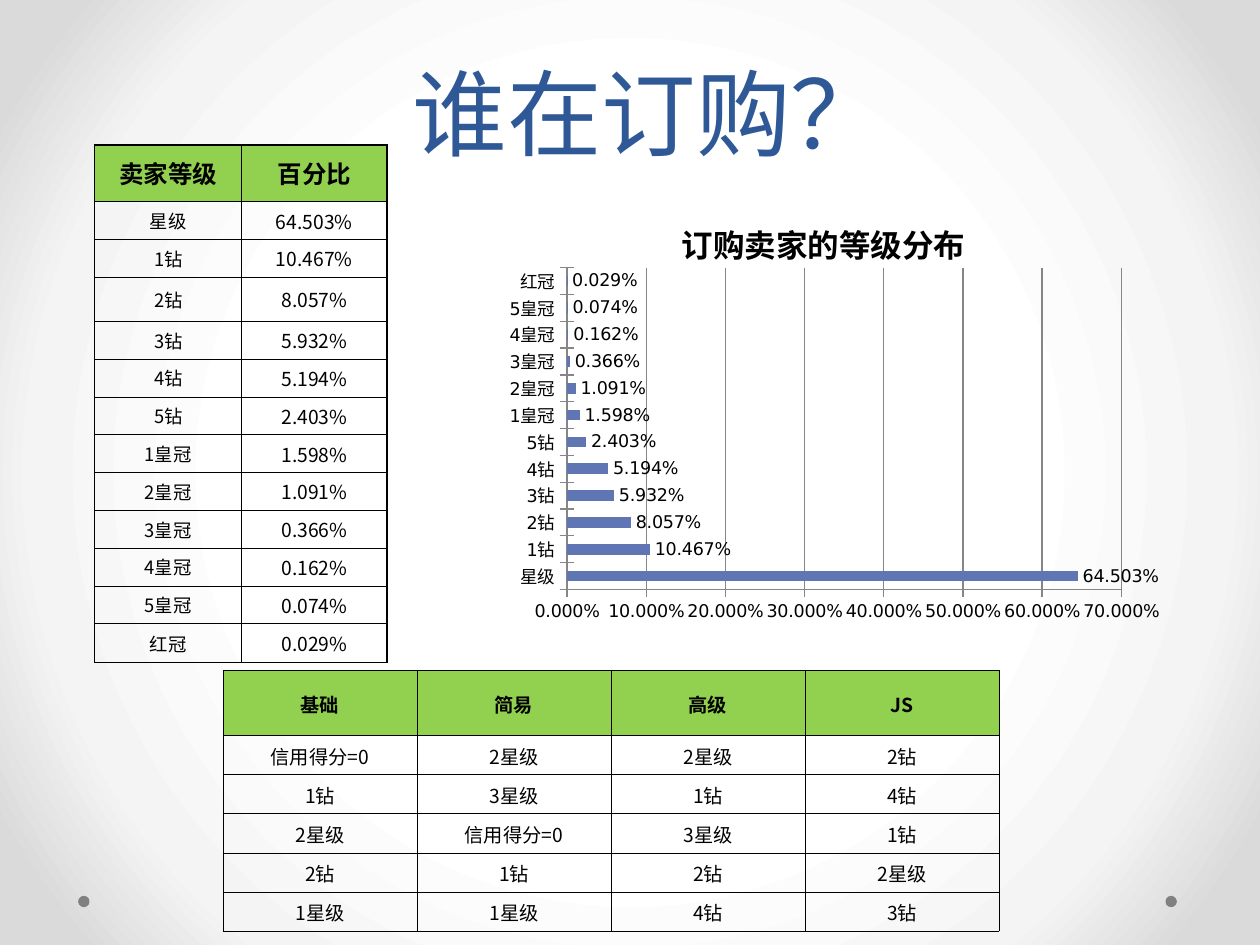
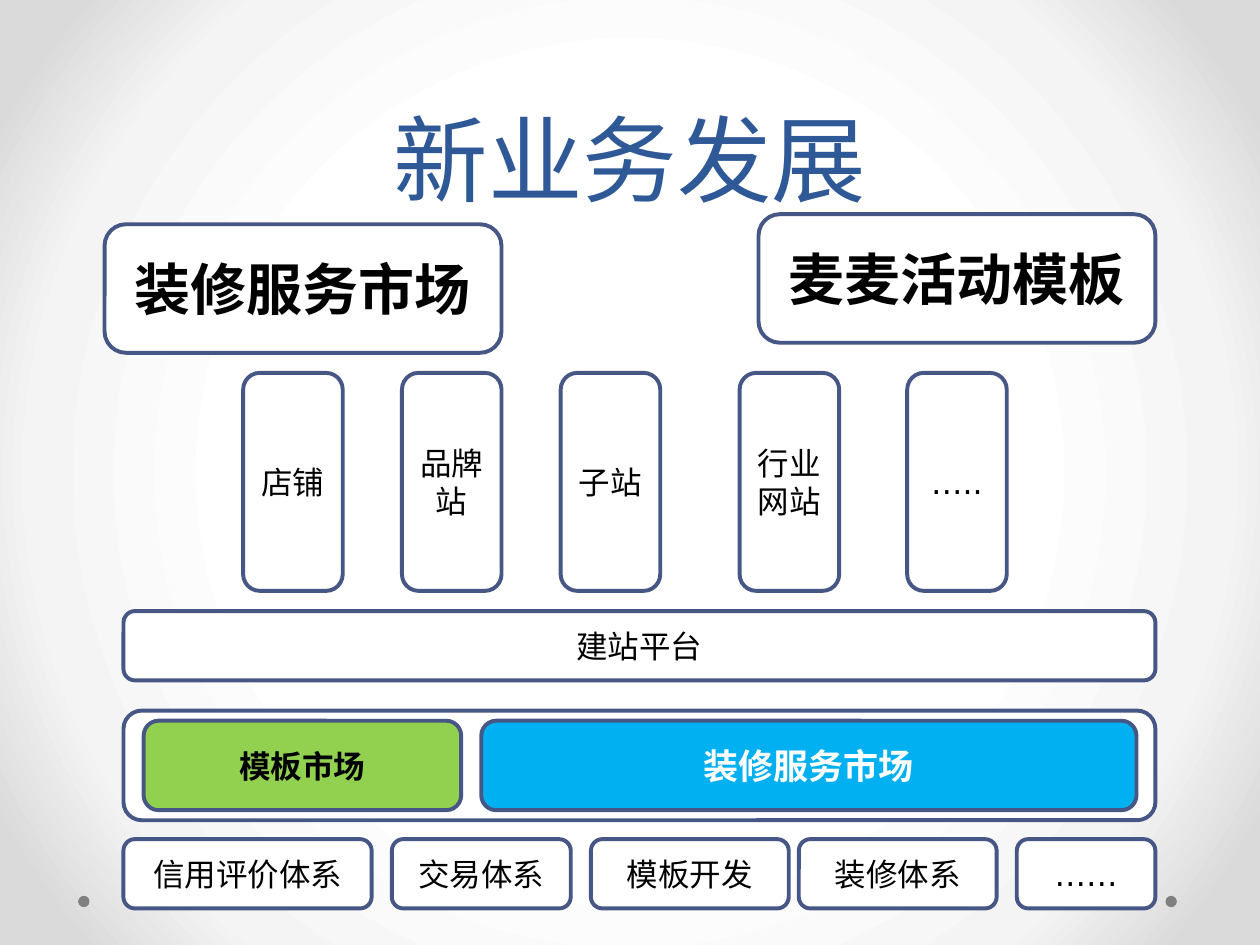
from lxml import etree
from pptx import Presentation
from pptx.chart.data import CategoryChartData
from pptx.dml.color import RGBColor
from pptx.enum.chart import XL_CHART_TYPE as ChartType, XL_LABEL_POSITION as LabelPosition
from pptx.enum.chart import XL_TICK_MARK as TickMark
from pptx.enum.shapes import MSO_SHAPE as Shape
from pptx.enum.text import MSO_ANCHOR as Anchor, MSO_AUTO_SIZE as AutoSize, PP_ALIGN as Align
from pptx.oxml import parse_xml
from pptx.oxml.ns import nsdecls, qn
from pptx.util import Inches, Pt

TITLE_BLUE = RGBColor(0x2F, 0x58, 0x97)
OUTLINE = RGBColor(0x47, 0x57, 0x85)
BAR_BLUE = RGBColor(0x60, 0x76, 0xB4)
GREEN = RGBColor(0x92, 0xD0, 0x50)
SKY = RGBColor(0x00, 0xB0, 0xF0)
GREY = RGBColor(0x80, 0x80, 0x80)
AXIS_GREY = RGBColor(0x86, 0x86, 0x86)
BLACK = RGBColor(0, 0, 0)
WHITE = RGBColor(0xFF, 0xFF, 0xFF)
BACKGROUND_STOPS = ((50, WHITE), (76, RGBColor(0xF4, 0xF4, 0xF4)), (92, RGBColor(0xDA, 0xDA, 0xDA)))

LATIN_FONT = "DejaVu Sans"
CHINESE_FONT = "Noto Sans CJK SC"
PERCENT = "0.000%"

LEVEL_SHARES = {
    "星级": 0.64503, "1钻": 0.10467, "2钻": 0.08057, "3钻": 0.05932,
    "4钻": 0.05194, "5钻": 0.02403, "1皇冠": 0.01598, "2皇冠": 0.01091,
    "3皇冠": 0.00366, "4皇冠": 0.00162, "5皇冠": 0.00074, "红冠": 0.00029,
}
EDITION_ROWS = (
    ("基础", "简易", "高级", "JS"),
    ("信用得分=0", "2星级", "2星级", "2钻"),
    ("1钻", "3星级", "1钻", "4钻"),
    ("2星级", "信用得分=0", "3星级", "1钻"),
    ("2钻", "1钻", "2钻", "2星级"),
    ("1星级", "1星级", "4钻", "3钻"),
)


def inches(box):
    return [Inches(length) for length in box]


def style_font(font, size, color=BLACK, bold=False, name=LATIN_FONT):
    font.size, font.bold, font.name = Pt(size), bold, name
    font.color.rgb = color


def add_text(frame, text, size, **style):
    """Write one centred run and return its paragraph."""
    paragraph = frame.paragraphs[0]
    paragraph.alignment = Align.CENTER
    run = paragraph.add_run()
    run.text = text
    style_font(run.font, size, **style)
    latin = run.font._element.find(qn("a:latin"))
    latin.addnext(parse_xml(f'<a:ea {nsdecls("a")} typeface="{CHINESE_FONT}"/>'))
    return paragraph


def prepare_master(presentation):
    """Give every slide the radial grey background."""
    stops = "".join(
        f'<a:gs pos="{position * 1000}"><a:srgbClr val="{color}"/></a:gs>'
        for position, color in BACKGROUND_STOPS)
    fill = parse_xml(
        f'<a:gradFill {nsdecls("a")} rotWithShape="1"><a:gsLst>{stops}</a:gsLst>'
        '<a:path path="circle"><a:fillToRect l="50000" t="50000" r="50000" b="50000"/>'
        '</a:path></a:gradFill>')
    background = presentation.slide_master.background
    background.fill.solid()
    properties = background._cSld.find(qn("p:bg")).find(qn("p:bgPr"))
    properties.replace(properties.find(qn("a:solidFill")), fill)


def add_titled_slide(presentation, title, box):
    slide = presentation.slides.add_slide(presentation.slide_layouts[5])
    shape = slide.shapes.title
    shape.left, shape.top, shape.width, shape.height = inches(box)
    frame = shape.text_frame
    frame.auto_size = AutoSize.NONE
    frame.word_wrap = True
    frame.vertical_anchor = Anchor.BOTTOM
    add_text(frame, title, 54, color=TITLE_BLUE).line_spacing = Pt(58)
    for left in (0.62, 9.25):
        dot = slide.shapes.add_shape(Shape.OVAL, *inches((left, 7.11, 0.09, 0.09)))
        dot.shadow.inherit = False
        dot.fill.solid()
        dot.fill.fore_color.rgb = GREY
        dot.line.fill.background()
    return slide


def set_borders(cell, widths):
    """Draw black borders; widths are points for left, right, top, bottom."""
    properties = cell._tc.get_or_add_tcPr()
    for index, (side, width) in enumerate(zip("LRTB", widths)):
        properties.insert(index, parse_xml(
            f'<a:ln{side} {nsdecls("a")} w="{Pt(width)}"><a:solidFill>'
            f'<a:srgbClr val="{BLACK}"/></a:solidFill></a:ln{side}>'))


def add_grid(slide, box, rows, column_widths, row_heights, header_size, body_sizes, edge, inset):
    """Add a table with a green header row and an outer border of edge points."""
    last_row, last_column = len(rows) - 1, len(column_widths) - 1
    table = slide.shapes.add_table(last_row + 1, last_column + 1, *inches(box)).table
    table.first_row = table.horz_banding = False
    for column, width in zip(table.columns, column_widths):
        column.width = Inches(width)
    for row, height in zip(table.rows, row_heights):
        row.height = Inches(height)
    for r, row in enumerate(rows):
        for c, text in enumerate(row):
            cell = table.cell(r, c)
            cell.margin_left = cell.margin_right = cell.margin_top = Inches(inset)
            cell.margin_bottom = 0
            cell.vertical_anchor = Anchor.MIDDLE
            if r == 0:
                cell.fill.solid()
                cell.fill.fore_color.rgb = GREEN
            else:
                cell.fill.background()
            outer_sides = (c == 0, c == last_column, r == 0, r == last_row)
            set_borders(cell, [edge if outer else 0.5 for outer in outer_sides])
            add_text(cell.text_frame, text, body_sizes[c] if r else header_size,
                     bold=r == 0, name=CHINESE_FONT)


def set_plot_layout(chart, x, y, width, height):
    """Fix the inner plot area, in fractions of the chart."""
    plot_area = chart._chartSpace.chart.plotArea
    for layout in plot_area.findall(qn("c:layout")):
        plot_area.remove(layout)
    layout = etree.Element(qn("c:layout"))
    manual = etree.SubElement(layout, qn("c:manualLayout"))
    values = (("layoutTarget", "inner"), ("xMode", "edge"), ("yMode", "edge"),
              ("x", x), ("y", y), ("w", width), ("h", height))
    for tag, value in values:
        etree.SubElement(manual, qn(f"c:{tag}")).set("val", str(value))
    plot_area.insert(0, layout)


def add_level_chart(slide, box):
    title = "订购卖家的等级分布"
    data = CategoryChartData(number_format=PERCENT)
    data.categories = list(LEVEL_SHARES)
    data.add_series(title, list(LEVEL_SHARES.values()))
    chart = slide.shapes.add_chart(ChartType.BAR_CLUSTERED, *inches(box), data).chart
    style_font(chart.font, 10)
    chart.has_legend = False
    chart.has_title = True
    add_text(chart.chart_title.text_frame, title, 18, bold=True, name=CHINESE_FONT)
    set_plot_layout(chart, 0.136, 0.162, 0.787, 0.722)

    for axis in (chart.category_axis, chart.value_axis):
        axis.major_tick_mark = TickMark.CROSS
        axis.minor_tick_mark = TickMark.NONE
        axis.format.line.color.rgb = AXIS_GREY
    value_axis = chart.value_axis
    value_axis.minimum_scale, value_axis.maximum_scale, value_axis.major_unit = 0, 0.7, 0.1
    value_axis.has_major_gridlines = True
    value_axis.major_gridlines.format.line.color.rgb = AXIS_GREY
    value_axis.tick_labels.number_format = PERCENT
    value_axis.tick_labels.number_format_is_linked = False

    plot = chart.plots[0]
    plot.gap_width = 150
    plot.vary_by_categories = False
    series = plot.series[0]
    series.format.fill.solid()
    series.format.fill.fore_color.rgb = BAR_BLUE
    labels = series.data_labels
    labels.show_value = True
    labels.number_format = PERCENT
    labels.number_format_is_linked = False
    labels.position = LabelPosition.OUTSIDE_END
    style_font(labels.font, 10)


def build_subscribers(presentation):
    slide = add_titled_slide(presentation, "谁在订购？", (0.5, 0, 9.3, 1.39))
    level_rows = [("卖家等级", "百分比")]
    level_rows += [(level, f"{share:.3%}") for level, share in LEVEL_SHARES.items()]
    add_grid(slide, (0.75, 1.15, 2.32, 4.09), level_rows, (1.17, 1.15),
             [0.45, 0.3, 0.3, 0.35] + [0.3] * 8 + [0.31], 14, (10.5, 11), edge=1, inset=0)
    add_level_chart(slide, (3.74, 1.55, 5.59, 3.54))
    add_grid(slide, (1.77, 5.32, 6.14, 2.1), EDITION_ROWS, [1.54] * 4,
             [0.52] + [0.31] * 5, 11, [11] * 4, edge=0.5, inset=0.01)


def add_block(slide, box, text="", size=18, fill=WHITE, **style):
    block = slide.shapes.add_shape(Shape.ROUNDED_RECTANGLE, *inches(box))
    block.shadow.inherit = False
    block.fill.solid()
    block.fill.fore_color.rgb = fill
    block.line.color.rgb = OUTLINE
    block.line.width = Pt(2.25)
    if text:
        block.text_frame.word_wrap = True
        block.text_frame.vertical_anchor = Anchor.MIDDLE
        add_text(block.text_frame, text, size, **style)


def add_block_row(slide, top, height, blocks):
    """Place blocks of (left, width, text) on one line."""
    for left, width, text in blocks:
        add_block(slide, (left, top, width, height), text)


def add_market_band(slide, left, top, width, height):
    """Add a frame that holds the two markets."""
    add_block(slide, (left, top, width, height))
    inner_top, inner_height = top + 0.08, height - 0.16
    add_block(slide, (left + 0.16, inner_top, 2.52, inner_height), "模板市场",
              fill=GREEN, bold=True)
    add_block(slide, (left + 2.84, inner_top, 5.2, inner_height), "装修服务市场", 20,
              fill=SKY, color=WHITE, bold=True)


def build_new_business(presentation):
    slide = add_titled_slide(presentation, "新业务发展", (0.5, 0, 9, 1.75))
    for left, top, text in ((0.83, 1.78, "装修服务市场"), (6.02, 1.7, "麦麦活动模板")):
        add_block(slide, (left, top, 3.15, 1.02), text, 32, bold=True)
    sites = ((1.93, "店铺"), (3.19, "品牌站"), (4.45, "子站"), (5.87, "行业网站"), (7.2, "….."))
    add_block_row(slide, 2.96, 1.73, [(left, 0.79, text) for left, text in sites])
    add_block_row(slide, 4.85, 0.55, [(0.98, 8.19, "建站平台")])
    add_market_band(slide, 0.98, 5.64, 8.19, 0.87)
    add_block_row(slide, 6.66, 0.55, (
        (0.98, 1.97, "信用评价体系"), (3.11, 1.42, "交易体系"), (4.69, 1.57, "模板开发"),
        (6.34, 1.57, "装修体系"), (8.07, 1.1, "……")))


def main():
    presentation = Presentation()
    presentation.slide_width, presentation.slide_height = Inches(10), Inches(7.5)
    prepare_master(presentation)
    build_subscribers(presentation)
    build_new_business(presentation)
    presentation.save("out.pptx")


if __name__ == "__main__":
    main()
